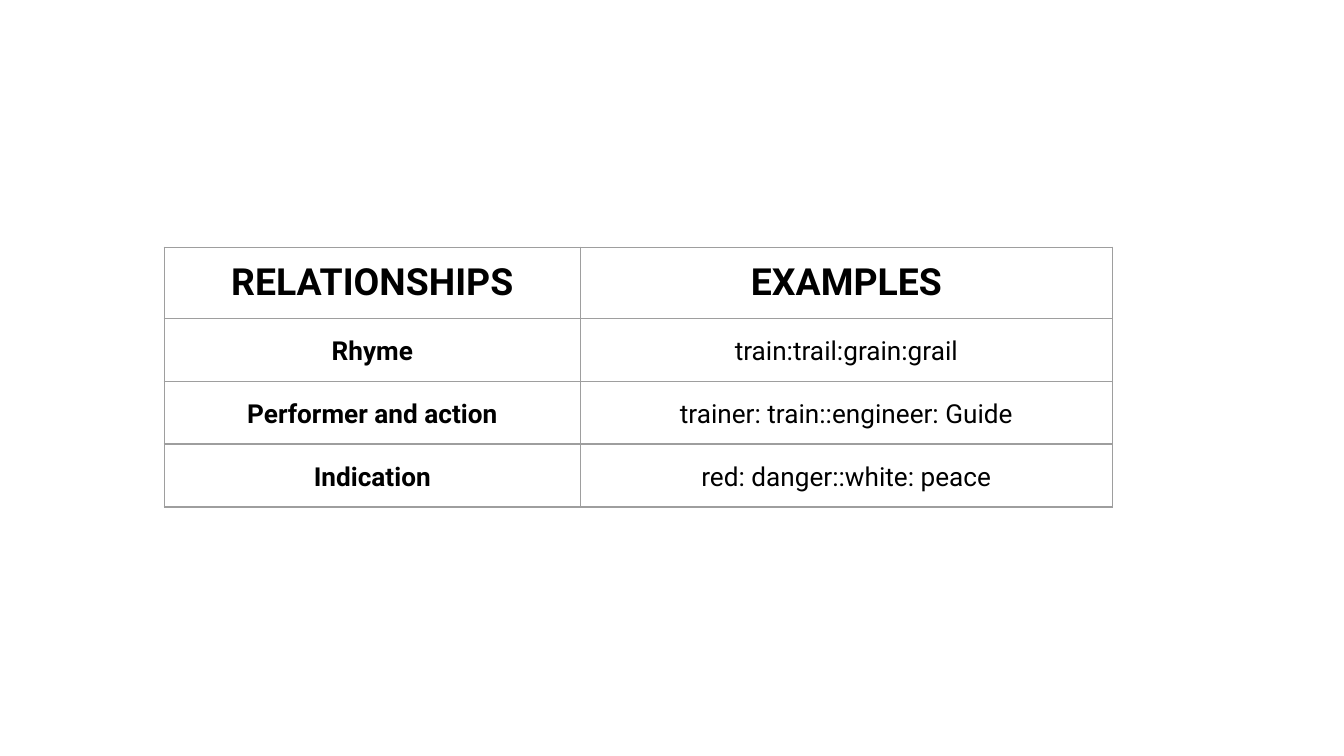
from lxml.etree import SubElement
from pptx import Presentation
from pptx.dml.color import RGBColor
from pptx.enum.text import PP_ALIGN
from pptx.oxml.ns import qn
from pptx.util import Pt

COLORS = {"text": "000000", "border": "9E9E9E", "page": "FFFFFF"}


def write_cell(cell, text, size=14, bold=False, line_spacing=1.15):
    cell.margin_left = cell.margin_right = Pt(7.2)
    cell.margin_top = cell.margin_bottom = Pt(7.2)
    para = cell.text_frame.paragraphs[0]
    para.alignment = PP_ALIGN.CENTER
    para.line_spacing = line_spacing
    span = para.add_run()
    span.text = text
    span.font.name = "Roboto"
    span.font.size = Pt(size)
    span.font.bold = bold
    span.font.color.rgb = RGBColor.from_string(COLORS["text"])


def draw_borders(cell):
    properties = cell._tc.get_or_add_tcPr()
    for side in ("a:lnL", "a:lnR", "a:lnT", "a:lnB"):
        line = SubElement(properties, qn(side), w=str(Pt(0.75)))
        fill = SubElement(line, qn("a:solidFill"))
        SubElement(fill, qn("a:srgbClr"), val=COLORS["border"])


deck = Presentation()
deck.slide_width = Pt(720)
deck.slide_height = Pt(405)
page = deck.slides.add_slide(deck.slide_layouts[6])
page.background.fill.solid()
page.background.fill.fore_color.rgb = RGBColor.from_string(COLORS["page"])

rows = [
    ("RELATIONSHIPS", "EXAMPLES"),
    ("Rhyme", "train:trail:grain:grail"),
    ("Performer and action", "trainer: train::engineer: Guide"),
    ("Indication", "red: danger::white: peace"),
]
column_widths = [223, 285]
row_heights = [34.5, 33.75, 33.75, 33.75]

table = page.shapes.add_table(
    len(rows), len(column_widths), Pt(88), Pt(132.5),
    Pt(sum(column_widths)), Pt(sum(row_heights))
).table
table.first_row = False
table.horz_banding = False
for column, width in zip(table.columns, column_widths):
    column.width = Pt(width)

for row_index, texts in enumerate(rows):
    table.rows[row_index].height = Pt(row_heights[row_index])
    for column_index, text in enumerate(texts):
        cell = table.cell(row_index, column_index)
        if row_index == 0:
            write_cell(cell, text, size=20, bold=True, line_spacing=1.0)
        else:
            write_cell(cell, text, bold=column_index == 0)
        draw_borders(cell)
        cell.fill.background()

deck.save("out.pptx")
